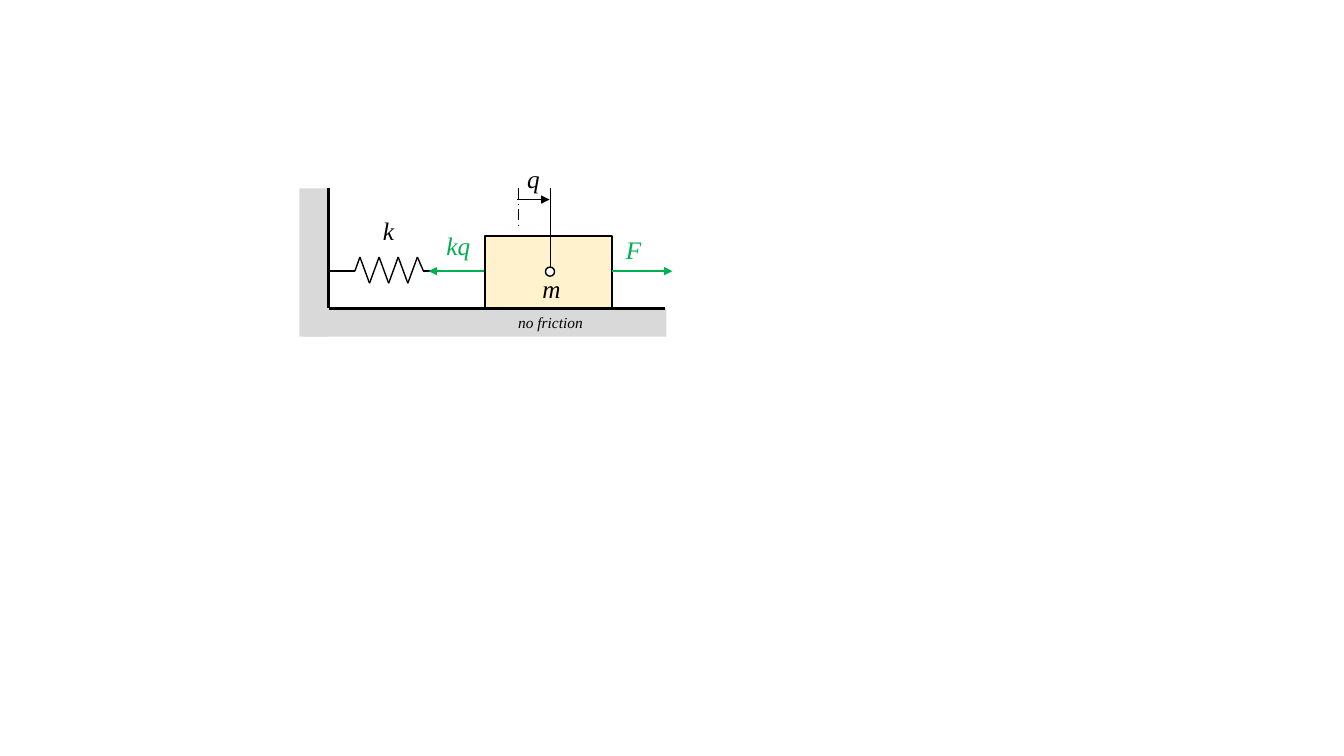
from dataclasses import dataclass
from itertools import pairwise

from lxml import etree
from pptx import Presentation
from pptx import util as u
from pptx.dml import color
from pptx.enum import dml, shapes, text
from pptx.oxml import ns


@dataclass(frozen=True)
class Theme:
    ink: str = "000000"
    force: str = "00B050"
    ground: str = "D9D9D9"
    mass: str = "FFF2CC"
    pin: str = "FFFFFF"
    font: str = "Times New Roman"
    symbol: float = 18
    note: float = 11
    hairline: float = 0.5
    thin: float = 1
    arrow: float = 1.5
    thick: float = 2.25


T = Theme()
SHAPE = shapes.MSO_SHAPE
AXIS_Y = 2.69  # height of the spring and force axis


def rgb(value):
    return color.RGBColor.from_string(value)


def add_block(group, kind, box, fill, outlined=True):
    sp = group.shapes.add_shape(kind, *map(u.Inches, box))
    sp.shadow.inherit = False
    sp.fill.solid()
    sp.fill.fore_color.rgb = rgb(fill)
    if outlined:
        sp.line.color.rgb = rgb(T.ink)
        sp.line.width = u.Pt(T.thin)
    else:
        sp.line.fill.background()


def add_line(group, start, end, width=T.thin, ink=T.ink, dash=None, arrow=False):
    line = group.shapes.add_connector(
        shapes.MSO_CONNECTOR.STRAIGHT, *map(u.Inches, (*start, *end)))
    line.line.color.rgb = rgb(ink)
    line.line.width = u.Pt(width)
    if dash:
        line.line.dash_style = dash
    props = line._element.spPr
    if arrow:
        etree.SubElement(props.find(ns.qn("a:ln")), ns.qn("a:tailEnd"), type="triangle")
    etree.SubElement(props, ns.qn("a:effectLst"))


def add_label(group, words, box, size=T.symbol, ink=T.ink):
    tf = group.shapes.add_textbox(*map(u.Inches, box)).text_frame
    tf.word_wrap = False
    tf.auto_size = text.MSO_AUTO_SIZE.SHAPE_TO_FIT_TEXT
    r = tf.paragraphs[0].add_run()
    r.text = words
    for name, value in {"name": T.font, "size": u.Pt(size), "italic": True}.items():
        setattr(r.font, name, value)
    r.font.color.rgb = rgb(ink)


def add_spring(group, left, right, first_peak, step, top, bottom, turns):
    zigzag = [(first_peak + i * step, bottom if i % 2 else top) for i in range(turns)]
    for start, end in pairwise([(left, AXIS_Y), *zigzag, (right, AXIS_Y)]):
        add_line(group, start, end)


def main():
    prs = Presentation()
    prs.slide_width, prs.slide_height = u.Inches(13.33), u.Inches(7.5)
    s = prs.slides.add_slide(prs.slide_layouts[6])
    diagram = s.shapes.add_group_shape()

    # Floor and wall
    add_block(diagram, SHAPE.RECTANGLE, (3.02, 3.06, 3.59, 0.28), T.ground, outlined=False)
    add_block(diagram, SHAPE.RECTANGLE, (2.97, 1.87, 0.28, 1.47), T.ground, outlined=False)
    for end in ((3.26, 1.87), (6.6, 3.06)):
        add_line(diagram, end, (3.26, 3.06), T.thick)

    # Mass with its rest position, current position and displacement
    add_block(diagram, SHAPE.RECTANGLE, (4.81, 2.34, 1.26, 0.71), T.mass)
    add_line(diagram, (5.14, 1.87), (5.14, 2.28), dash=dml.MSO_LINE.LONG_DASH_DOT)
    add_line(diagram, (5.46, 1.87), (5.46, AXIS_Y))
    add_block(diagram, SHAPE.OVAL, (5.41, 2.65, 0.09, 0.09), T.pin)
    add_line(diagram, (5.13, 1.98), (5.45, 1.98), T.hairline, arrow=True)

    # Spring between wall and mass
    add_line(diagram, (4.81, AXIS_Y), (4.2, AXIS_Y))
    add_line(diagram, (3.52, AXIS_Y), (3.27, AXIS_Y))
    add_spring(diagram, 3.52, 4.2, first_peak=3.57, step=0.095,
               top=2.55, bottom=2.81, turns=7)

    # Forces
    for start, end in ((6.07, 6.67), (4.8, 4.25)):
        add_line(diagram, (start, AXIS_Y), (end, AXIS_Y), T.arrow, T.force, arrow=True)

    # Labels
    for words, left, top, width, ink in (
        ("q", 5.13, 1.57, 0.34, T.ink),
        ("k", 3.7, 2.09, 0.31, T.ink),
        ("kq", 4.33, 2.24, 0.44, T.force),
        ("F", 6.11, 2.28, 0.36, T.force),
        ("m", 5.28, 2.66, 0.38, T.ink),
    ):
        add_label(diagram, words, (left, top, width, 0.4), ink=ink)
    add_label(diagram, "no friction", (5.04, 3.06, 0.85, 0.29), T.note)

    prs.save("out.pptx")


if __name__ == "__main__":
    main()
